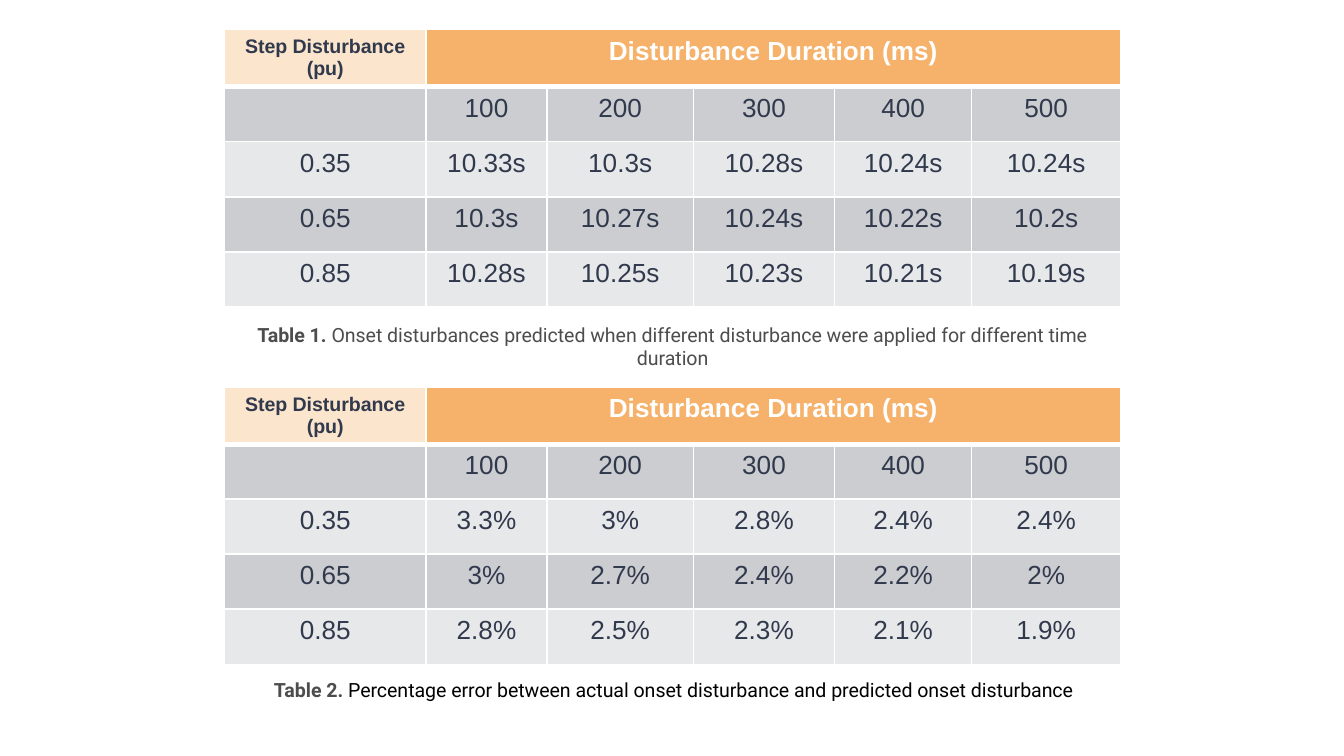
import pptx
import pptx.dml.color
import pptx.enum.text
import pptx.oxml
import pptx.oxml.ns
import pptx.util
from pptx.util import Inches

COLORS = {
    "white": "FFFFFF",
    "navy": "31394D",
    "peach": "FCE5CD",
    "orange": "F6B26B",
    "dark_band": "CCCDD0",
    "light_band": "E7E8E9",
    "caption": "4D4D4D",
    "black": "000000",
}
CENTER = pptx.enum.text.PP_ALIGN.CENTER
LEFT = pptx.enum.text.PP_ALIGN.LEFT

TABLE_LEFT = 1.67
COLUMN_WIDTHS = [1.5, 0.9, 1.09, 1.05, 1.02, 1.11]
ROW_HEIGHT = 0.41
HEADER = ["Step Disturbance (pu)", "Disturbance Duration (ms)", "", "", "", ""]
DURATIONS = ["", "100", "200", "300", "400", "500"]

ONSET_TIMES = [
    ["0.35", "10.33s", "10.3s", "10.28s", "10.24s", "10.24s"],
    ["0.65", "10.3s", "10.27s", "10.24s", "10.22s", "10.2s"],
    ["0.85", "10.28s", "10.25s", "10.23s", "10.21s", "10.19s"],
]
ERRORS = [
    ["0.35", "3.3%", "3%", "2.8%", "2.4%", "2.4%"],
    ["0.65", "3%", "2.7%", "2.4%", "2.2%", "2%"],
    ["0.85", "2.8%", "2.5%", "2.3%", "2.1%", "1.9%"],
]


def rgb(name):
    return pptx.dml.color.RGBColor.from_string(COLORS[name])


def set_font(font, name, size, color, bold):
    font.name = name
    font.size = pptx.util.Pt(size)
    font.bold = bold
    font.color.rgb = rgb(color)


def set_borders(cell, top, bottom):
    """Draw white cell borders; must run before the cell gets its fill."""
    properties = cell._tc.get_or_add_tcPr()
    for side, width in (("L", 1), ("R", 1), ("T", top), ("B", bottom)):
        properties.append(pptx.oxml.parse_xml(
            f'<a:ln{side} {pptx.oxml.ns.nsdecls("a")} w="{pptx.util.Pt(width)}">'
            f'<a:solidFill><a:srgbClr val="{COLORS["white"]}"/></a:solidFill>'
            f'</a:ln{side}>'))


def style_cell(cell, text, row, column):
    cell.margin_left = cell.margin_right = Inches(0.07)
    cell.margin_top = cell.margin_bottom = Inches(0.05)
    set_borders(cell, top=3 if row == 1 else 1, bottom=3 if row == 0 else 1)

    is_header = row == 0
    is_corner = is_header and column == 0
    if is_header:
        fill = "peach" if is_corner else "orange"
    else:
        fill = "dark_band" if row % 2 else "light_band"
    cell.fill.solid()
    cell.fill.fore_color.rgb = rgb(fill)

    cell.text = text
    paragraph = cell.text_frame.paragraphs[0]
    paragraph.alignment = CENTER
    color = "white" if is_header and not is_corner else "navy"
    set_font(paragraph.font, "Arial", 10.5 if is_corner else 14, color, is_header)


def add_disturbance_table(slide, top, values):
    rows = [HEADER, DURATIONS] + values
    table = slide.shapes.add_table(
        len(rows), len(COLUMN_WIDTHS), Inches(TABLE_LEFT), Inches(top),
        Inches(sum(COLUMN_WIDTHS)), Inches(ROW_HEIGHT * len(rows))).table
    for column, width in zip(table.columns, COLUMN_WIDTHS):
        column.width = Inches(width)
    for row_index, texts in enumerate(rows):
        table.rows[row_index].height = Inches(ROW_HEIGHT)
        for column_index, text in enumerate(texts):
            style_cell(table.cell(row_index, column_index), text, row_index, column_index)
    table.cell(0, 1).merge(table.cell(0, len(COLUMN_WIDTHS) - 1))


def add_caption(slide, left, top, width, label, text, color, alignment):
    box = slide.shapes.add_textbox(Inches(left), Inches(top), Inches(width), Inches(0.45))
    frame = box.text_frame
    frame.word_wrap = True
    frame.margin_left = frame.margin_right = Inches(0.1)
    frame.margin_top = frame.margin_bottom = Inches(0.1)
    paragraph = frame.paragraphs[0]
    paragraph.alignment = alignment
    for content, run_color, bold in ((label, "caption", True), (text, color, False)):
        run = paragraph.add_run()
        run.text = content
        set_font(run.font, "Roboto", 10.5, run_color, bold)


def main():
    presentation = pptx.Presentation()
    presentation.slide_width = Inches(10)
    presentation.slide_height = Inches(10 * 9 / 16)
    slide = presentation.slides.add_slide(presentation.slide_layouts[6])

    add_disturbance_table(slide, 0.22, ONSET_TIMES)
    add_disturbance_table(slide, 2.88, ERRORS)
    add_caption(slide, TABLE_LEFT, 2.3, 6.67, "Table 1. ",
                "Onset disturbances predicted when different disturbance were "
                "applied for different time duration", "caption", CENTER)
    add_caption(slide, 1.94, 4.96, 6.78, "Table 2. ",
                "Percentage error between actual onset disturbance and "
                "predicted onset disturbance", "black", LEFT)
    presentation.save("out.pptx")


if __name__ == "__main__":
    main()
